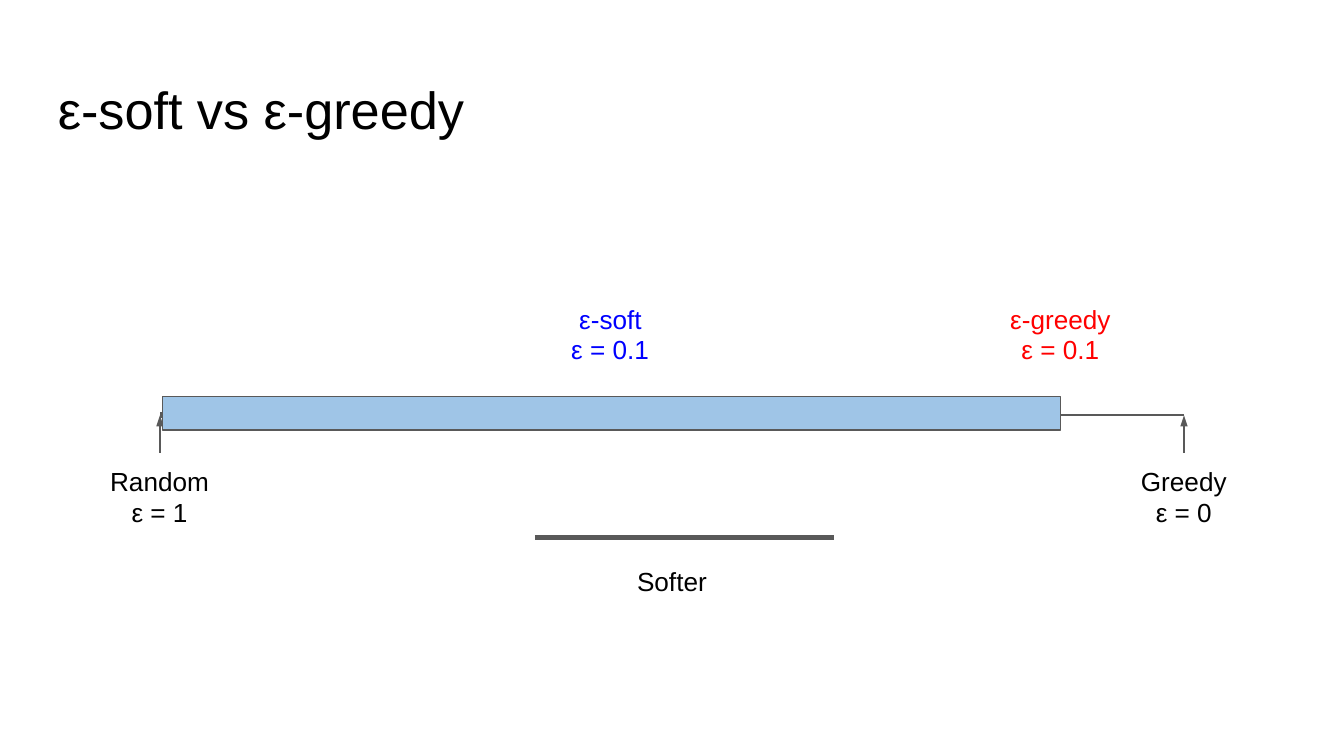
"""Build a slide that places ε-soft and ε-greedy policies on a random-to-greedy scale."""
from lxml import etree
from pptx import Presentation
from pptx.dml.color import RGBColor
from pptx.enum.shapes import MSO_CONNECTOR, MSO_SHAPE
from pptx.enum.text import MSO_ANCHOR
from pptx.oxml.ns import qn
from pptx.util import Pt

STRAIGHT = MSO_CONNECTOR.STRAIGHT
RECTANGLE = MSO_SHAPE.RECTANGLE
TOP, BOTTOM = MSO_ANCHOR.TOP, MSO_ANCHOR.BOTTOM
GREY = "595959"
AXIS_Y = 222.5
BAR_LEFT, BAR_RIGHT, AXIS_RIGHT = 87, 568, 634.3


def rgb(value):
    return RGBColor.from_string(value)


def add_text(text, left, top, width, height, size=14, color="000000", anchor=TOP):
    tf = s.shapes.add_textbox(Pt(left), Pt(top), Pt(width), Pt(height)).text_frame
    tf.word_wrap = True
    tf.vertical_anchor = anchor
    tf.margin_left = tf.margin_right = tf.margin_bottom = 0
    tf.margin_top = Pt(2)
    p = tf.paragraphs[0]
    p.text = text
    p.font.name = "Arial"
    p.font.size = Pt(size)
    p.font.color.rgb = rgb(color)
    return p


prs = Presentation()
prs.slide_width, prs.slide_height = Pt(720), Pt(405)
s = prs.slides.add_slide(prs.slide_layouts[6])

add_text("ε-soft vs ε-greedy", 31, 39.6, 222, 35.3, size=28, anchor=BOTTOM)
add_text("Softer", 341.3, 301, 42, 18.7)

for x1, y1, x2, y2, weight, arrow in [
    (286.6, 288, 447, 288, 2.25, False),
    (BAR_RIGHT, AXIS_Y, AXIS_RIGHT, AXIS_Y, 0.89, False),
    (86.4, 221, 86.4, 224, 0.89, False),
    (85.7, 242.6, 85.7, AXIS_Y, 0.75, True),
    (AXIS_RIGHT, 242.6, AXIS_RIGHT, AXIS_Y, 0.75, True),
]:
    line = s.shapes.add_connector(STRAIGHT, Pt(x1), Pt(y1), Pt(x2), Pt(y2))
    line.line.color.rgb = rgb(GREY)
    line.line.width = Pt(weight)
    sp_pr = line._element.spPr
    etree.SubElement(sp_pr, qn("a:effectLst"))
    if arrow:
        ln = sp_pr.find(qn("a:ln"))
        etree.SubElement(ln, qn("a:tailEnd"), type="triangle", w="sm", len="med")

bar = s.shapes.add_shape(RECTANGLE, Pt(BAR_LEFT), Pt(212.4), Pt(BAR_RIGHT - BAR_LEFT), Pt(18))
bar.shadow.inherit = False
bar.fill.solid()
bar.fill.fore_color.rgb = rgb("9FC5E7")
bar.line.color.rgb = rgb(GREY)
bar.line.width = Pt(0.75)

for name, epsilon, left, top, width, margin, indent, color in [
    ("Random", "1", 58.5, 247.7, 54.7, 12, -11.5, "000000"),
    ("Greedy", "0", 610.6, 247.7, 47.5, 8.6, -8, "000000"),
    ("ε-greedy", "0.1", 540, 160.6, 56, 7.2, -6, "FF0000"),
    ("ε-soft", "0.1", 305.3, 160.6, 44, 0.7, 4.3, "0000FF"),
]:
    p = add_text(f"{name}\vε = {epsilon}", left, top, width, 35.3, color=color)
    p.line_spacing = Pt(16.5)
    p_pr = p._p.get_or_add_pPr()
    p_pr.set("marL", str(Pt(margin)))
    p_pr.set("indent", str(Pt(indent)))

prs.save("out.pptx")
